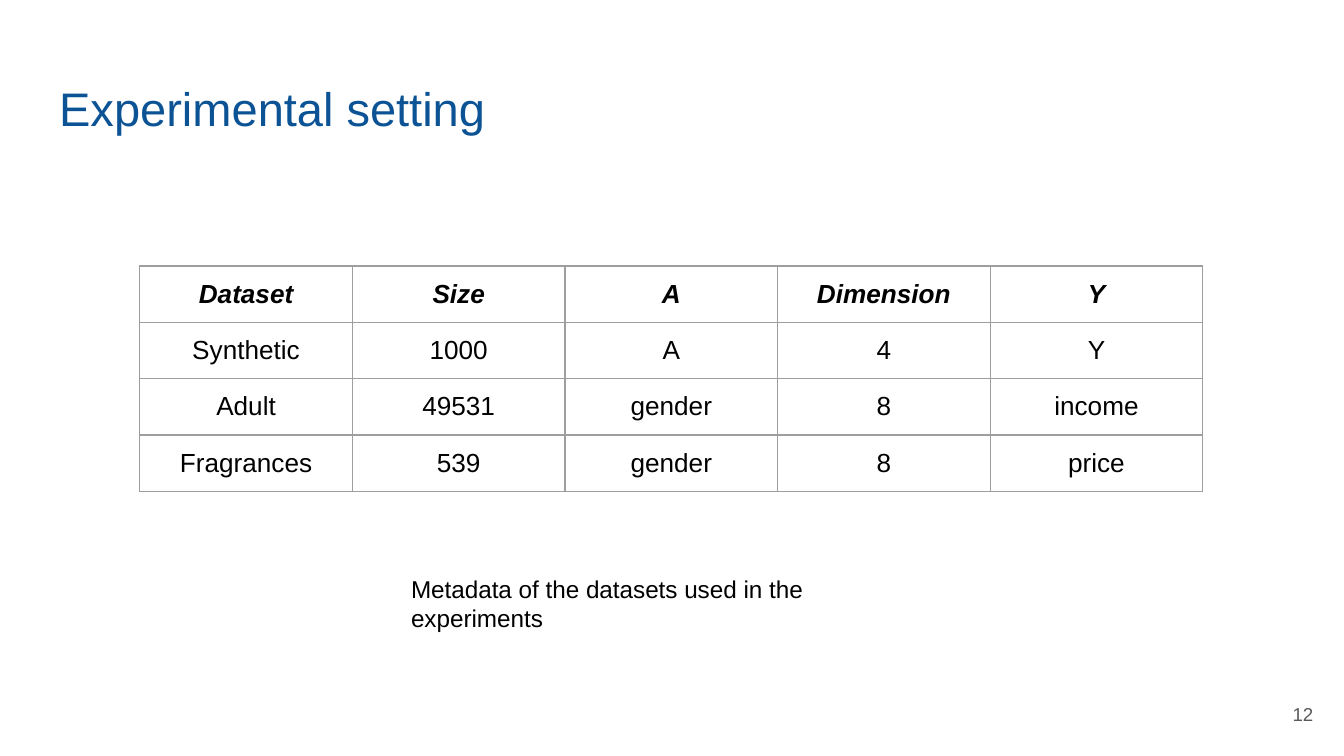
from dataclasses import dataclass

from lxml import etree
from pptx import Presentation
from pptx.dml.color import RGBColor
from pptx.enum.text import MSO_ANCHOR, MSO_AUTO_SIZE, PP_ALIGN
from pptx.oxml.ns import qn
from pptx.util import Inches, Pt

LEFT, MID, RIGHT = PP_ALIGN.LEFT, PP_ALIGN.CENTER, PP_ALIGN.RIGHT
TOP, CENTER = MSO_ANCHOR.TOP, MSO_ANCHOR.MIDDLE
FIXED = MSO_AUTO_SIZE.NONE
PAD = Inches(0.1)
WIDE = Inches(10)
HIGH = WIDE * 9 // 16


@dataclass(frozen=True)
class Theme:
    """Colours, font and type sizes of the deck."""
    font: str = "Arial"
    blue: str = "0B5394"
    ink: str = "000000"
    gray: str = "595959"
    rule: str = "9E9E9E"
    line: float = 0.75
    head: float = 25.2
    cell: float = 14
    note: float = 13
    page: float = 10


THEME = Theme()
ROWS = [
    ("Dataset", "Size", "A", "Dimension", "Y"),
    ("Synthetic", "1000", "A", "4", "Y"),
    ("Adult", "49531", "gender", "8", "income"),
    ("Fragrances", "539", "gender", "8", "price"),
]


def write(frame, text, size, color=THEME.ink, align=LEFT, bold=False, italic=False):
    """Put one formatted paragraph in a text frame."""
    para = frame.paragraphs[0]
    para.alignment = align
    run = para.add_run()
    run.text = text
    font = run.font
    font.name, font.size = THEME.font, Pt(size)
    font.bold, font.italic = bold, italic
    font.color.rgb = RGBColor.from_string(color)


def inset(item):
    """Give a frame or cell equal margins on all sides."""
    item.margin_left = item.margin_right = PAD
    item.margin_top = item.margin_bottom = PAD


def label(shape, text, size, anchor=TOP, **style):
    """Set up the text frame of a shape and fill it."""
    frame = shape.text_frame
    frame.word_wrap = True
    frame.auto_size = FIXED
    frame.vertical_anchor = anchor
    inset(frame)
    write(frame, text, size, **style)


def edge(cell):
    """Draw a thin rule on each side of a cell."""
    props = cell._tc.get_or_add_tcPr()
    for spot, side in enumerate(("a:lnL", "a:lnR", "a:lnT", "a:lnB")):
        line = etree.Element(qn(side), w=str(Pt(THEME.line)))
        fill = etree.SubElement(line, qn("a:solidFill"))
        etree.SubElement(fill, qn("a:srgbClr"), val=THEME.rule)
        props.insert(spot, line)


def heading(slide, box, text):
    """Place the slide title in its box."""
    title = slide.shapes.title
    title.left, title.top, title.width, title.height = box
    label(title, text, THEME.head, color=THEME.blue)


def grid(slide, box, rows):
    """Fill the box with an even table whose first row is the header."""
    wide, high = len(rows[0]), len(rows)
    table = slide.shapes.add_table(high, wide, *box).table
    table.first_row = table.horz_banding = False
    for r, row in enumerate(rows):
        table.rows[r].height = box[3] // high
        for c, text in enumerate(row):
            cell = table.cell(r, c)
            cell.fill.background()
            inset(cell)
            edge(cell)
            write(cell.text_frame, text, THEME.cell, align=MID,
                  bold=r == 0, italic=r == 0)


def note(slide, box, text, size, **style):
    """Place a small text box."""
    label(slide.shapes.add_textbox(*box), text, size, **style)


def area(*parts):
    """Turn lengths in inches into a box."""
    return [Inches(part) for part in parts]


def build():
    """Make the slide and save it."""
    deck = Presentation()
    deck.slide_width, deck.slide_height = WIDE, HIGH
    slide = deck.slides.add_slide(deck.slide_layouts[5])
    heading(slide, area(0.34, 0.49, 9.32, 0.63), "Experimental setting")
    grid(slide, area(1.04, 1.98, 7.91, 1.67), ROWS)
    note(slide, area(9.27, 5.1, 0.6, 0.43), "12", THEME.page,
         anchor=CENTER, color=THEME.gray, align=RIGHT)
    note(slide, area(2.96, 4.17, 4.08, 0.43),
         "Metadata of the datasets used in the experiments", THEME.note)
    deck.save("out.pptx")


if __name__ == "__main__":
    build()
